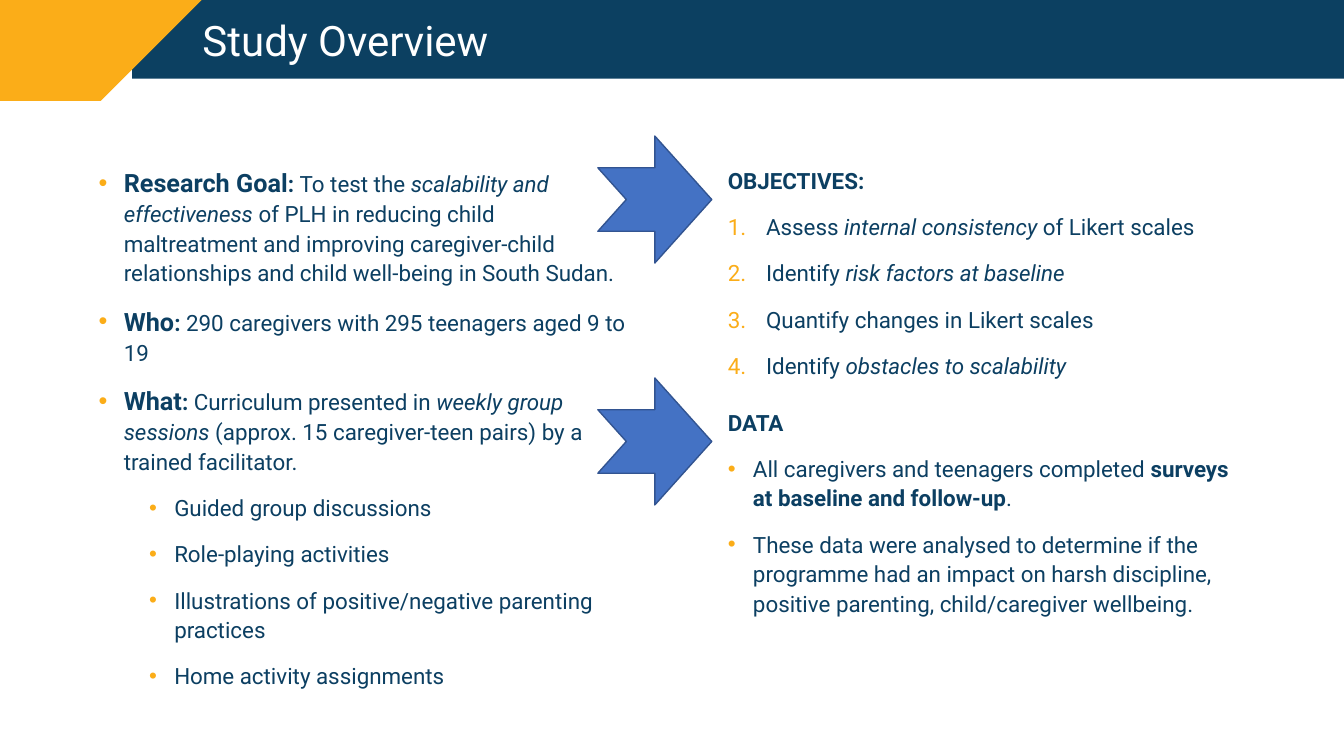
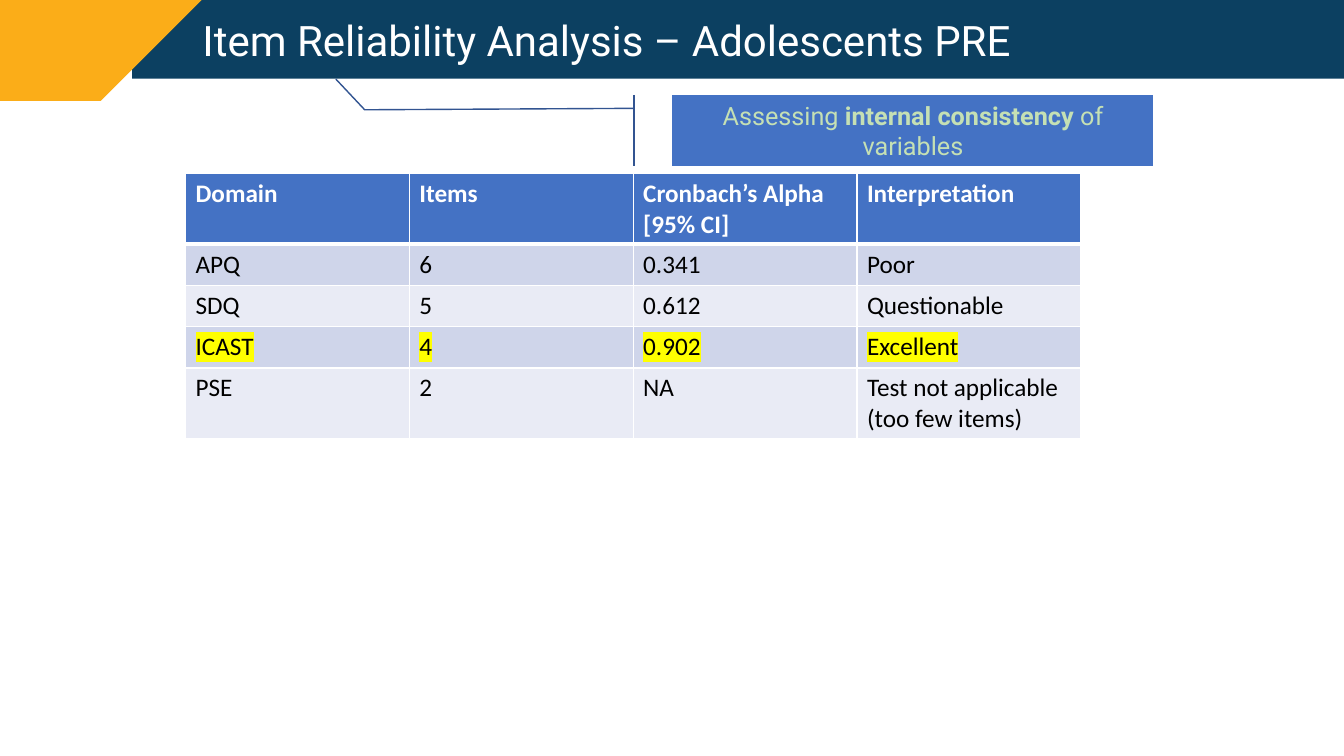
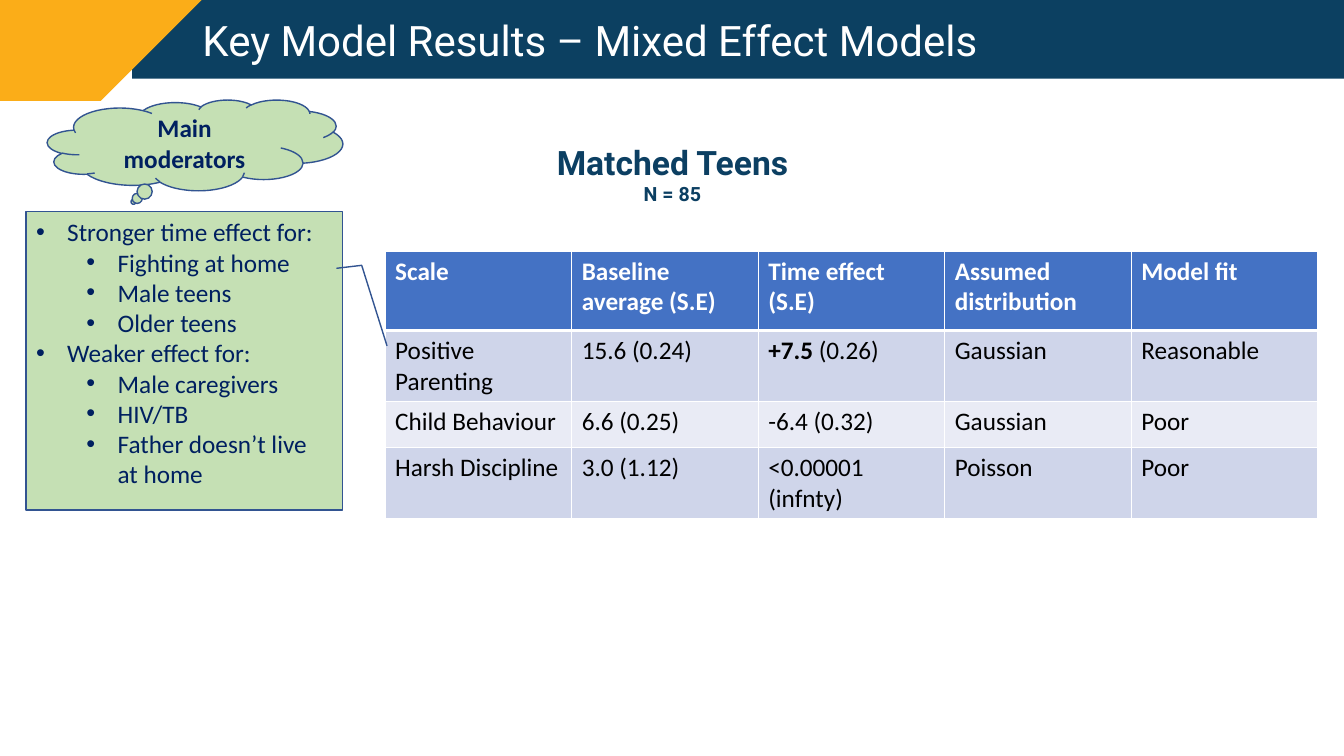
from dataclasses import dataclass

from lxml.etree import SubElement as Sub
from pptx import Presentation
from pptx.dml.color import RGBColor as Rgb
from pptx.enum.shapes import MSO_SHAPE as Geo
from pptx.enum.text import MSO_ANCHOR as Anchor, MSO_AUTO_SIZE as Auto, PP_ALIGN as Align
from pptx.oxml.ns import qn
from pptx.util import Inches, Pt

HEX = {
    "navy": "0C4061", "ink": "0C3F62", "gold": "FBAD18", "white": "FFFFFF",
    "black": "000000", "blue": "4472C4", "edge": "325491", "mint": "C5E0B4",
    "deep": "002060", "band": "CFD5EA", "pale": "E9EBF5", "mark": "FFFF00",
}
WIDE, HIGH = 13.33, 7.5


@dataclass
class Run:
    text: str
    bold: bool | None = None
    italic: bool = False
    size: float | None = None


@dataclass
class Para:
    runs: list[Run]
    left: float = 0
    hang: float = 0
    mark: str = ""
    level: int = 0


@dataclass
class Box:
    x: float
    y: float
    w: float
    h: float

    def lens(self) -> tuple:
        return tuple(Inches(v) for v in (self.x, self.y, self.w, self.h))


def rgb(name: str) -> Rgb:
    return Rgb.from_string(HEX[name])


def para(*parts, **fmt) -> Para:
    """Paragraph from plain strings and runs."""
    return Para([Run(p) if isinstance(p, str) else p for p in parts], **fmt)


def bold(text: str, size: float | None = None) -> Run:
    return Run(text, bold=True, size=size)


def ital(text: str) -> Run:
    return Run(text, italic=True)


# Text
def bullet(par, item: Para, color: str | None) -> None:
    ppr = par._p.get_or_add_pPr()
    ppr.set("marL", str(Inches(item.left)))
    ppr.set("indent", str(Inches(-item.hang)))
    if not item.mark:
        return
    if color:
        Sub(Sub(ppr, qn("a:buClr")), qn("a:srgbClr"), val=HEX[color])
    if item.mark == "1.":
        Sub(ppr, qn("a:buFont"), typeface="+mj-lt")
        Sub(ppr, qn("a:buAutoNum"), type="arabicPeriod")
    else:
        Sub(ppr, qn("a:buFont"), typeface="Arial")
        Sub(ppr, qn("a:buChar"), char=item.mark)


def write(frame, items: list[Para], *, size: float = 18, color: str = "ink",
          font: str = "Roboto", weight: bool = False, align=Align.LEFT, line: float = 1,
          after: float = 0, dot: str | None = None, glow: str | None = None) -> None:
    for num, item in enumerate(items):
        par = frame.add_paragraph() if num else frame.paragraphs[0]
        par.level = item.level
        bullet(par, item, dot)
        par.alignment, par.line_spacing, par.space_after = align, line, Pt(after)
        for part in item.runs:
            run = par.add_run()
            run.text = part.text
            face = run.font
            face.name, face.size = font, Pt(part.size or size)
            face.bold = weight if part.bold is None else part.bold
            face.italic = part.italic
            face.color.rgb = rgb(color)
            if glow:
                rpr = run._r.get_or_add_rPr()
                high = Sub(rpr, qn("a:highlight"))
                Sub(high, qn("a:srgbClr"), val=HEX[glow])
                rpr.find(qn("a:solidFill")).addnext(high)


def label(slide, box: Box, items: list[Para], wrap: bool = True, anchor=Anchor.TOP, **fmt):
    frame = slide.shapes.add_textbox(*box.lens()).text_frame
    frame.word_wrap, frame.vertical_anchor = wrap, anchor
    frame.auto_size = Auto.SHAPE_TO_FIT_TEXT
    write(frame, items, **fmt)
    return frame


# Shapes
def paint(shape, fill: str, edge: str | None = None) -> None:
    shape.shadow.inherit = False
    shape.fill.solid()
    shape.fill.fore_color.rgb = rgb(fill)
    if edge:
        shape.line.color.rgb = rgb(edge)
        shape.line.width = Pt(1)
    else:
        shape.line.fill.background()


def form(slide, geo, box: Box, fill: str, edge: str | None = "edge", adj: tuple = ()):
    shape = slide.shapes.add_shape(geo, *box.lens())
    for num, val in enumerate(adj):
        shape.adjustments[num] = val
    paint(shape, fill, edge)
    return shape


def start(deck, title: str):
    """New slide with the header band, gold corner and title."""
    slide = deck.slides.add_slide(deck.slide_layouts[6])
    form(slide, Geo.RECTANGLE, Box(1.31, 0, WIDE - 1.31, 0.78), "navy", None)
    pen = slide.shapes.build_freeform(0, 0, scale=Inches(1))
    pen.add_line_segments([(1.84, 0), (1.31, 0.94), (0, 0.94)])
    paint(pen.convert_to_shape(), "gold")
    label(slide, Box(1.91, 0.15, 11.42, 0.56), [para(title)], anchor=Anchor.MIDDLE,
          size=30, color="white", line=0.9)
    return slide


# Tables
def border(cell, row: int) -> None:
    tcpr = cell._tc.get_or_add_tcPr()
    thick = {(0, "B"), (1, "T")}
    for side in "LRTB":
        width = Pt(3 if (row, side) in thick else 1)
        line = Sub(tcpr, qn(f"a:ln{side}"), w=str(width))
        Sub(Sub(line, qn("a:solidFill")), qn("a:srgbClr"), val=HEX["white"])


def grid(slide, x: float, y: float, col: float, tall: list[float],
         rows: list[list], glow: int = -1) -> None:
    box = Box(x, y, col * len(rows[0]), sum(tall))
    table = slide.shapes.add_table(len(rows), len(rows[0]), *box.lens()).table
    for item in table.columns:
        item.width = Inches(col)
    for r, row in enumerate(rows):
        table.rows[r].height = Inches(tall[r])
        for c, val in enumerate(row):
            cell = table.cell(r, c)
            border(cell, r)
            cell.fill.solid()
            cell.fill.fore_color.rgb = rgb("blue" if r == 0 else "band" if r % 2 else "pale")
            write(cell.text_frame, [val if isinstance(val, Para) else para(val)],
                  font="Calibri", color="black" if r else "white", weight=r == 0,
                  glow="mark" if r == glow else None)


def study(deck) -> None:
    slide = start(deck, "Study Overview")
    look = dict(size=16, line=1.1, after=12, dot="gold")
    top = dict(left=0.31, hang=0.25, mark="•")
    sub = dict(left=0.81, hang=0.25, mark="•", level=1)
    step = dict(left=0.44, hang=0.38, mark="1.")

    # Goal, people and method
    label(slide, Box(0.82, 1.58, 5.55, 5.5), [
        para(bold("Research Goal", 18), bold(": "), "To test the ",
             ital("scalability and effectiveness"),
             " of PLH in reducing child maltreatment and improving caregiver-child "
             "relationships and child well-being in South Sudan.", **top),
        para(bold("Who", 18), bold(": "),
             "290 caregivers with 295 teenagers aged 9 to 19", **top),
        para(bold("What", 18), bold(": "), "Curriculum presented in ",
             ital("weekly group sessions"),
             " (approx. 15 caregiver-teen pairs) by a trained facilitator.", **top),
        *(para(act, **sub) for act in (
            "Guided group discussions", "Role-playing activities",
            "Illustrations of positive/negative parenting practices",
            "Home activity assignments")),
    ], **look)

    # Data and objectives
    label(slide, Box(7.06, 3.98, 5.45, 3.14), [
        para(bold("DATA"), left=0.06),
        para("All caregivers and teenagers completed ",
             bold("surveys at baseline and follow-up"), ".", **top),
        para("These data were analysed to determine if the programme had an impact on "
             "harsh discipline, positive parenting, child/caregiver wellbeing.", **top),
    ], **look)
    label(slide, Box(7.06, 1.58, 5.45, 2.71), [
        para(bold("OBJECTIVES:"), left=0.06),
        para("Assess ", ital("internal consistency "), "of Likert scales", **step),
        para("Identify ", ital("risk factors at baseline"), **step),
        para("Quantify changes in Likert scales", **step),
        para("Identify ", ital("obstacles to scalability"), **step),
    ], **look)
    for y in (3.75, 1.35):
        form(slide, Geo.NOTCHED_RIGHT_ARROW, Box(5.93, y, 1.13, 1.26), "blue")


def items(deck) -> None:
    slide = start(deck, "Item Reliability Analysis – Adolescents PRE")
    grid(slide, 1.84, 1.72, 2.22, [0.41] * 5, [
        ["Domain", "Items", "Cronbach’s Alpha [95% CI]", "Interpretation"],
        ["APQ", "6", "0.341", "Poor"],
        ["SDQ", "5", "0.612", "Questionable"],
        ["ICAST", "4", "0.902", "Excellent"],
        ["PSE", "2", "NA", "Test not applicable (too few items)"],
    ], glow=3)

    # Callout to the title
    note = form(slide, Geo.LINE_CALLOUT_2_ACCENT_BAR, Box(6.67, 0.94, 4.77, 0.71), "blue",
                adj=(0.19, -0.08, 0.21, -0.64, -0.22, -0.7))
    note.text_frame.vertical_anchor = Anchor.MIDDLE
    note.text_frame.word_wrap = True
    write(note.text_frame, [para("Assessing ", bold("internal consistency "), "of variables")],
          color="mint", align=Align.CENTER)


def model(deck) -> None:
    slide = start(deck, "Key Model Results – Mixed Effect Models")
    grid(slide, 3.82, 2.49, 1.85, [0.79] + [0.46] * 3, [
        ["Scale", "Baseline average (S.E)", "Time effect (S.E)",
         "Assumed distribution", "Model fit"],
        ["Positive Parenting", "15.6 (0.24)", para(bold("+7.5 "), "(0.26)"),
         "Gaussian", "Reasonable"],
        ["Child Behaviour", "6.6 (0.25)", "-6.4 (0.32)", "Gaussian", "Poor"],
        ["Harsh Discipline", "3.0 (1.12)", "<0.00001 (infnty)", "Poisson", "Poor"],
    ])

    # Moderators
    look = dict(font="Calibri", color="deep")
    top = dict(left=0.31, hang=0.31, mark="•")
    sub = dict(left=0.81, hang=0.31, mark="•", level=1)
    groups = {
        "Stronger time effect for:": ("Fighting at home", "Male teens", "Older teens"),
        "Weaker effect for:": ("Male caregivers", "HIV/TB", "Father doesn’t live at home"),
    }
    lines = []
    for head, kids in groups.items():
        lines += [para(head, **top), *(para(kid, **sub) for kid in kids)]
    note = form(slide, Geo.LINE_CALLOUT_2, Box(0.26, 2.1, 3.14, 2.96), "mint",
                adj=(0.19, 0.02, 0.18, -0.06, 0.45, -0.14))
    note._element.spPr.find(qn("a:xfrm")).set("flipH", "1")
    note.text_frame.vertical_anchor = Anchor.TOP
    note.text_frame.word_wrap = True
    write(note.text_frame, lines, **look)

    cloud = form(slide, Geo.CLOUD_CALLOUT, Box(0.47, 0.99, 2.93, 0.9), "mint")
    cloud.text_frame.vertical_anchor = Anchor.MIDDLE
    cloud.text_frame.word_wrap = True
    write(cloud.text_frame, [para("Main moderators")], weight=True, align=Align.CENTER, **look)

    # Table heading
    label(slide, Box(5.35, 1.36, 2.64, 0.74), [
        para("Matched Teens"), para(Run("N = 85", size=14)),
    ], wrap=False, size=24, weight=True, align=Align.CENTER)


def main() -> None:
    deck = Presentation()
    deck.slide_width, deck.slide_height = Inches(WIDE), Inches(HIGH)
    for build in (study, items, model):
        build(deck)
    deck.save("out.pptx")


if __name__ == "__main__":
    main()
